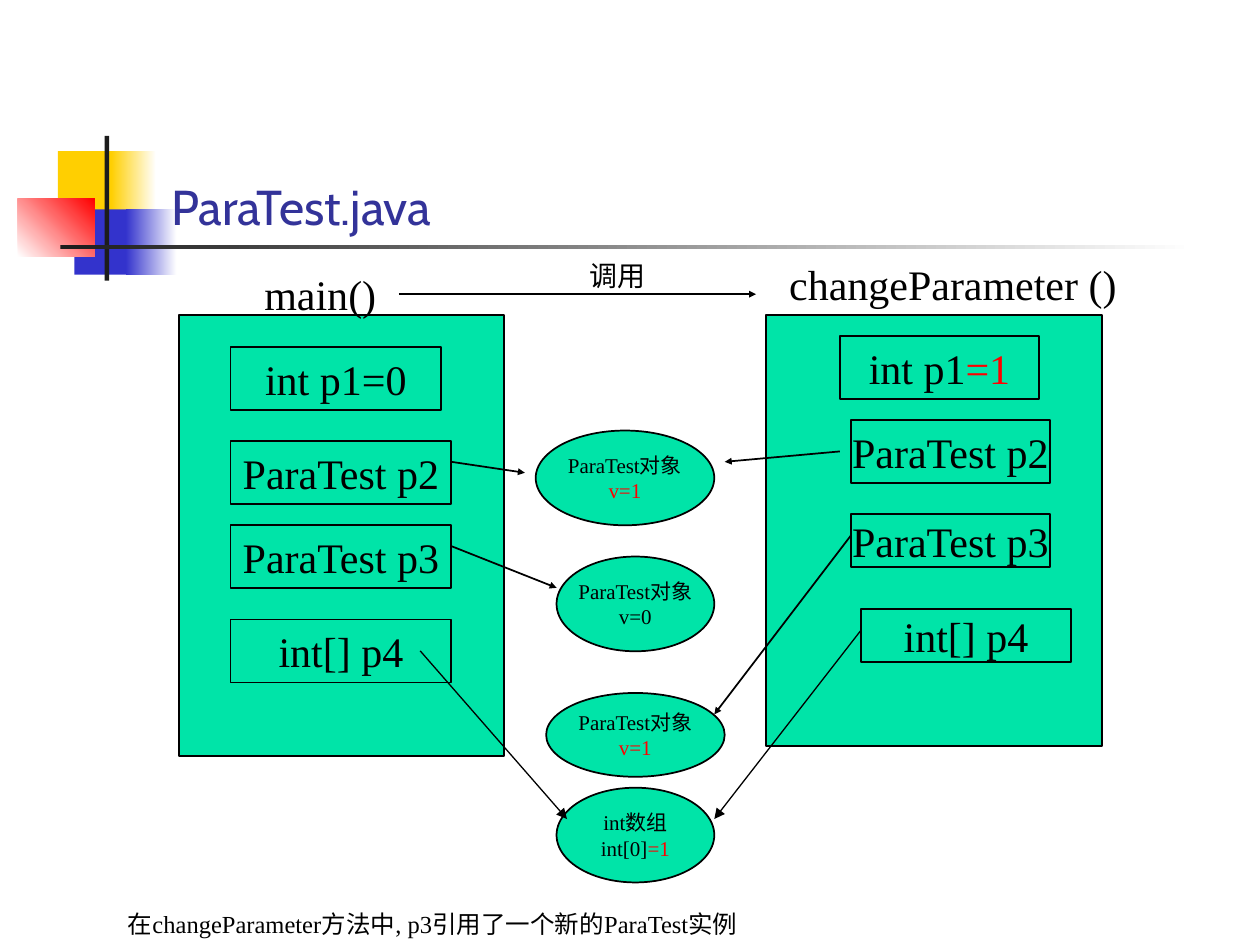
import pptx
import pptx.util
import pptx.dml.color
import pptx.enum.shapes
import pptx.enum.text
import pptx.oxml.ns
import lxml.etree

Cm = pptx.util.Cm
Pt = pptx.util.Pt
SHAPE = pptx.enum.shapes.MSO_SHAPE
ANCHOR = pptx.enum.text.MSO_ANCHOR
ALIGN = pptx.enum.text.PP_ALIGN
qn = pptx.oxml.ns.qn

GREEN, BLACK, RED = "00E4A8", "000000", "FF0000"
YELLOW, BLUE, DARK, WHITE = "FFCF01", "3333CC", "1C1C1C", "FFFFFF"


def rgb(color):
    return pptx.dml.color.RGBColor.from_string(color)


def add_run(p, text, size, color=BLACK, font="Times New Roman"):
    r = p.add_run()
    r.text = text
    r.font.size = Pt(size)
    r.font.name = font
    r.font.color.rgb = rgb(color)


prs = pptx.Presentation()
prs.slide_width = Cm(25.4)
prs.slide_height = Cm(19.05)
s = prs.slides.add_slide(prs.slide_layouts[5])

decor = [
    (1.17, 3.05, 1.22, 1.32, [YELLOW], 0),
    (2.24, 3.05, 0.91, 1.32, [YELLOW, WHITE], 0),
    (1.5, 4.22, 1.17, 1.32, [BLUE], 0),
    (2.54, 4.22, 1.02, 1.32, [BLUE, WHITE], 0),
    (0.36, 4.01, 1.55, 1.17, [WHITE, RED], 45),
    (2.11, 2.74, 0.09, 2.92, [DARK], 0),
    (1.22, 4.94, 22.86, 0.09, [DARK, WHITE], 0),
]
for x, y, w, h, colors, angle in decor:
    sp = s.shapes.add_shape(SHAPE.RECTANGLE, Cm(x), Cm(y), Cm(w), Cm(h))
    sp.shadow.inherit = False
    sp.line.fill.background()
    if len(colors) == 1:
        sp.fill.solid()
        sp.fill.fore_color.rgb = rgb(colors[0])
    else:
        sp.fill.gradient()
        sp.fill.gradient_angle = angle
        for stop, color in zip(sp.fill.gradient_stops, colors):
            stop.color.rgb = rgb(color)

title = s.shapes.title
s.shapes._spTree.append(title._element)
title.left, title.top, title.width, title.height = Cm(3.2), Cm(1.7), Cm(21.64), Cm(3.18)
tf = title.text_frame
tf.auto_size = pptx.enum.text.MSO_AUTO_SIZE.NONE
tf.vertical_anchor = ANCHOR.BOTTOM
p = tf.paragraphs[0]
p.alignment = ALIGN.LEFT
add_run(p, "ParaTest.java", 28, "333399", "Cabin")

RECT, OVAL = SHAPE.RECTANGLE, SHAPE.OVAL
boxes = [
    (RECT, 3.61, 6.35, 6.55, 8.89, 24, []),
    (RECT, 15.44, 6.35, 6.78, 8.69, 24, []),
    (RECT, 4.65, 6.99, 4.24, 1.27, 24, [[("int p1=0", BLACK)]]),
    (RECT, 4.65, 8.89, 4.45, 1.27, 24, [[("ParaTest p2", BLACK)]]),
    (RECT, 4.65, 10.58, 4.45, 1.27, 24, [[("ParaTest p3", BLACK)]]),
    (RECT, 4.65, 12.49, 4.45, 1.27, 24, [[("int[] p4", BLACK)]]),
    (RECT, 16.93, 6.77, 4.02, 1.27, 24, [[("int p1", BLACK), ("=1", RED)]]),
    (RECT, 17.15, 8.47, 4.02, 1.27, 24, [[("ParaTest p2", BLACK)]]),
    (RECT, 17.15, 10.37, 4.02, 1.06, 24, [[("ParaTest p3", BLACK)]]),
    (RECT, 17.36, 12.28, 4.23, 1.06, 24, [[("int[] p4", BLACK)]]),
    (OVAL, 10.8, 8.68, 3.6, 1.91, 12, [[("ParaTest对象", BLACK)], [("v=1", RED)]]),
    (OVAL, 11.22, 11.22, 3.18, 1.91, 12, [[("ParaTest对象", BLACK)], [("v=0", BLACK)]]),
    (OVAL, 11.01, 13.97, 3.6, 1.69, 12, [[("ParaTest对象", BLACK)], [("v=1", RED)]]),
    (OVAL, 11.22, 15.88, 3.18, 1.91, 12, [[("int数组", BLACK)], [("int[0]", BLACK), ("=1", RED)]]),
]
for kind, x, y, w, h, size, lines in boxes:
    sp = s.shapes.add_shape(kind, Cm(x), Cm(y), Cm(w), Cm(h))
    sp.shadow.inherit = False
    sp.fill.solid()
    sp.fill.fore_color.rgb = rgb(GREEN)
    sp.line.color.rgb = rgb(BLACK)
    sp.line.width = Pt(1)
    tf = sp.text_frame
    tf.word_wrap = False
    tf.vertical_anchor = ANCHOR.MIDDLE
    for i, runs in enumerate(lines):
        p = tf.add_paragraph() if i else tf.paragraphs[0]
        p.alignment = ALIGN.CENTER
        for text, color in runs:
            add_run(p, text, size, color)

labels = [
    (5.08, 5.29, 3.39, 1.27, 24, "main()"),
    (15.66, 5.08, 7.83, 1.27, 24, "changeParameter ()"),
    (11.64, 5.08, 2.33, 0.93, 16, "调用"),
    (2.33, 18.2, 21.38, 0.86, 14, "在changeParameter方法中, p3引用了一个新的ParaTest实例"),
]
for x, y, w, h, size, text in labels:
    tf = s.shapes.add_textbox(Cm(x), Cm(y), Cm(w), Cm(h)).text_frame
    tf.word_wrap = True
    add_run(tf.paragraphs[0], text, size)

arrows = [
    (8.04, 5.93, 15.24, 5.93, 1, "sm"),
    (9.1, 9.31, 10.58, 9.53, 1, "sm"),
    (9.1, 11.01, 11.22, 11.85, 1, "sm"),
    (16.93, 9.1, 14.61, 9.31, 1, "sm"),
    (17.15, 10.8, 14.4, 14.4, 1, "sm"),
    (8.47, 13.12, 11.43, 16.51, 0.75, "med"),
    (17.36, 12.7, 14.4, 16.51, 0.75, "med"),
]
for x1, y1, x2, y2, width, head in arrows:
    c = s.shapes.add_connector(pptx.enum.shapes.MSO_CONNECTOR.STRAIGHT, Cm(x1), Cm(y1), Cm(x2), Cm(y2))
    c.line.color.rgb = rgb(BLACK)
    c.line.width = Pt(width)
    ln = c.line._get_or_add_ln()
    lxml.etree.SubElement(ln, qn("a:tailEnd"), type="triangle", w=head, len=head)
    lxml.etree.SubElement(c._element.spPr, qn("a:effectLst"))

prs.save("out.pptx")
